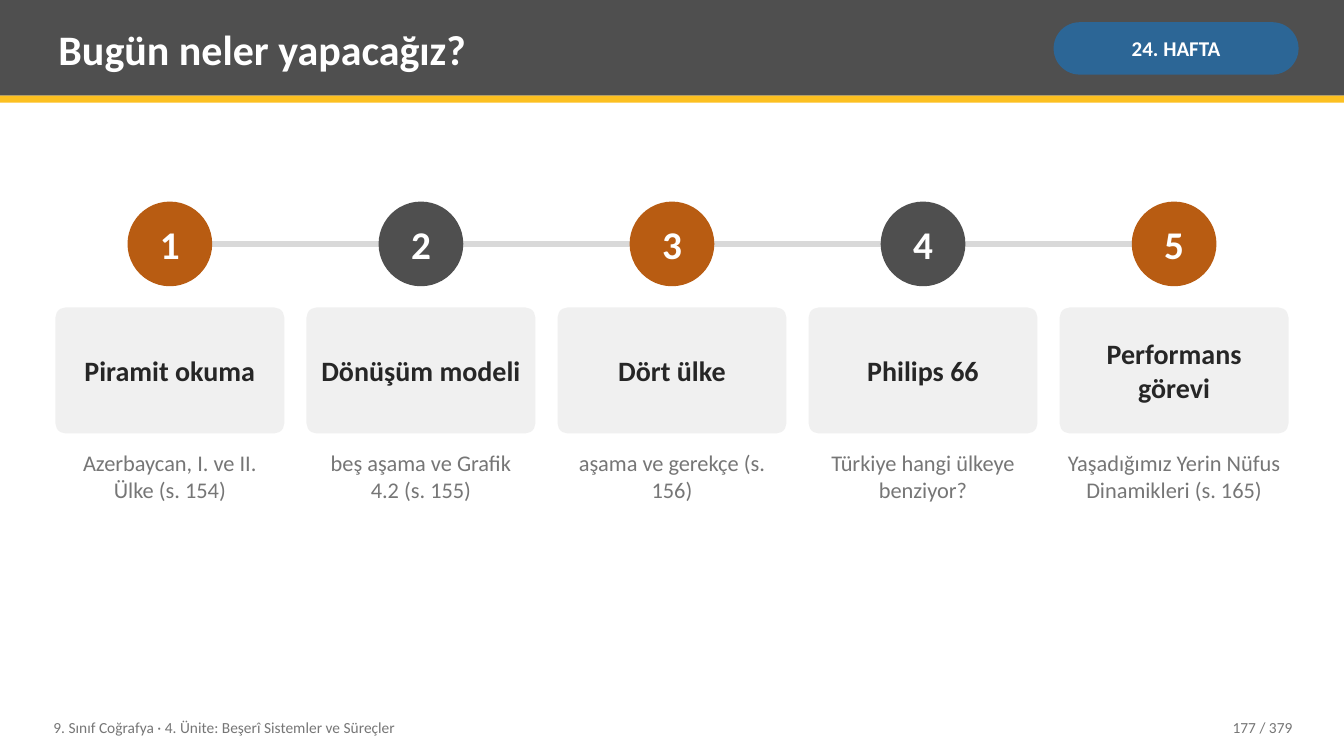
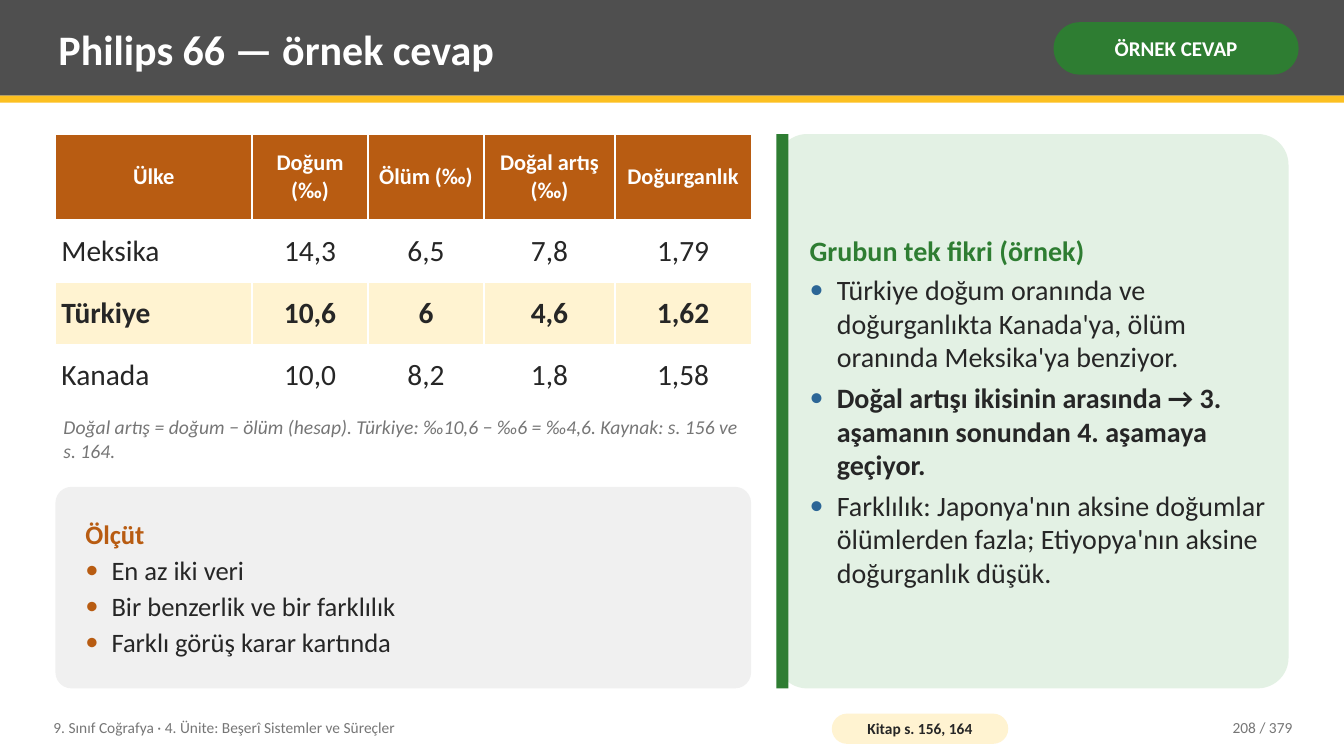
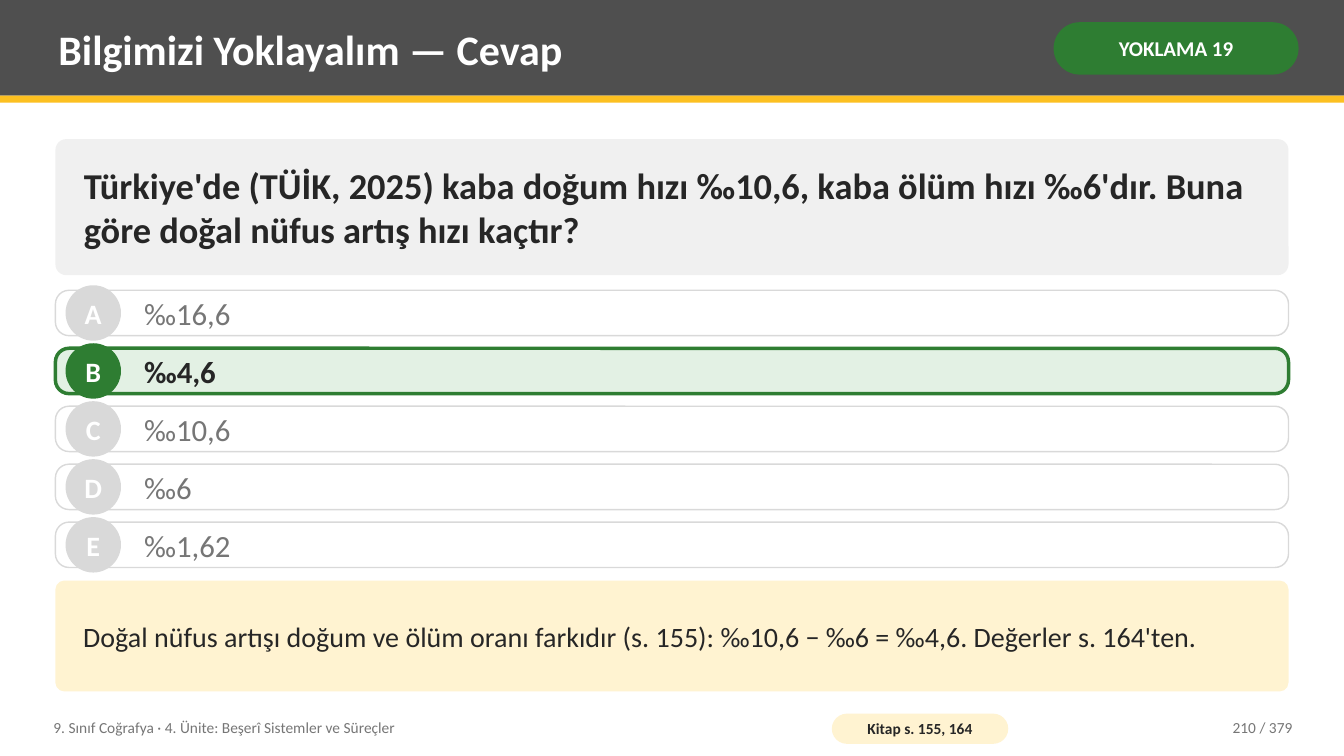
import lxml.etree
import pptx
import pptx.dml.color
import pptx.enum.shapes
import pptx.enum.text
import pptx.oxml.ns
import pptx.util

# The grid has square cells: 266.6 columns by 150 rows, 20 cells to the inch.
COLS, ROWS = 266.6, 150
LEFT = 11
WIDTH = COLS - 2 * LEFT

FONT = "Calibri"
WHITE, INK, MUTED = "FFFFFF", "262626", "767676"
DARK, PALE, RULE = "4F4F4F", "F0F0F0", "D9D9D9"
ORANGE, YELLOW, CREAM = "B85C12", "FCC021", "FFF3D1"
BLUE, GREEN, MINT = "2C6696", "2E7D32", "E3F1E4"

FOOTER = "9. Sınıf Coğrafya · 4. Ünite: Beşerî Sistemler ve Süreçler"
PAGES = 379

SHAPE = pptx.enum.shapes.MSO_SHAPE
ANCHOR = pptx.enum.text.MSO_ANCHOR
ALIGN = {"l": pptx.enum.text.PP_ALIGN.LEFT,
         "c": pptx.enum.text.PP_ALIGN.CENTER,
         "r": pptx.enum.text.PP_ALIGN.RIGHT}
qn = pptx.oxml.ns.qn


def cells(n):
    """Length of n grid cells."""
    return pptx.util.Inches(n / 20)


def rgb(color):
    return pptx.dml.color.RGBColor.from_string(color)


def paint(target, color):
    target.fill.solid()
    target.fill.fore_color.rgb = rgb(color)


def format_text(p, size, color, bold=False, italic=False, align="l"):
    p.alignment = ALIGN[align]
    for r in p.runs:
        r.font.name = FONT
        r.font.size = pptx.util.Pt(size)
        r.font.bold = bold
        r.font.italic = italic
        r.font.color.rgb = rgb(color)


def add_bullet(p, color, hang):
    pPr = p._p.get_or_add_pPr()
    pPr.set("marL", str(cells(hang)))
    pPr.set("indent", str(-cells(hang)))
    clr = lxml.etree.SubElement(pPr, qn("a:buClr"))
    lxml.etree.SubElement(clr, qn("a:srgbClr"), val=color)
    lxml.etree.SubElement(pPr, qn("a:buFont"), typeface=FONT)
    lxml.etree.SubElement(pPr, qn("a:buChar"), char="•")


def add_borders(cell, color, width):
    tcPr = cell._tc.get_or_add_tcPr()
    for side in ("a:lnL", "a:lnR", "a:lnT", "a:lnB"):
        ln = lxml.etree.SubElement(tcPr, qn(side), w=str(pptx.util.Pt(width)))
        fill = lxml.etree.SubElement(ln, qn("a:solidFill"))
        lxml.etree.SubElement(fill, qn("a:srgbClr"), val=color)


class Deck:
    def __init__(self):
        self.prs = pptx.Presentation()
        self.prs.slide_width = cells(COLS)
        self.prs.slide_height = cells(ROWS)
        self.s = None

    def slide(self, title, tag, tag_color, page, source=None):
        """Start a slide with its title band, tag and footer."""
        self.s = self.prs.slides.add_slide(self.prs.slide_layouts[5])
        self.shape(0, 0, COLS, 19, DARK)
        self.shape(0, 19, COLS, 1.4, YELLOW)
        sp = self.s.shapes.title
        sp.element.getparent().append(sp.element)
        sp.left, sp.top, sp.width, sp.height = map(cells, (10, 1.4, 195, 16.4))
        self.label(sp, title, 30, WHITE, bold=True)
        self.pill(209, 4.4, 48.6, 10.4, tag_color, tag, 15, WHITE)
        self.text(9, 140.8, 152, 7.2, FOOTER, 11, MUTED)
        self.text(226, 140.8, 32, 7.2, f"{page} / {PAGES}", 11, MUTED, align="r")
        if source:
            self.pill(165, 141.6, 35, 6, CREAM, source, 11, INK)

    def frame(self, sp, inset=(1.6, 0.8), anchor=ANCHOR.MIDDLE, wrap=True):
        """Prepare the text frame of a shape."""
        tf = sp.text_frame
        tf.auto_size = pptx.enum.text.MSO_AUTO_SIZE.NONE
        tf.word_wrap = wrap
        tf.vertical_anchor = anchor
        tf.margin_left = tf.margin_right = cells(inset[0])
        tf.margin_top = tf.margin_bottom = cells(inset[1])
        return tf

    def label(self, sp, text, size, color, bold=False, italic=False,
              align="l", **frame):
        """Set the one paragraph of a shape."""
        tf = self.frame(sp, **frame)
        tf.text = text
        format_text(tf.paragraphs[0], size, color, bold, italic, align)

    def box(self, x, y, w, h):
        return self.s.shapes.add_textbox(*map(cells, (x, y, w, h)))

    def text(self, x, y, w, h, text, size, color, **style):
        self.label(self.box(x, y, w, h), text, size, color, **style)

    def shape(self, x, y, w, h, fill, kind=SHAPE.RECTANGLE, line=None, weight=1):
        sp = self.s.shapes.add_shape(kind, *map(cells, (x, y, w, h)))
        sp.shadow.inherit = False
        paint(sp, fill)
        if line:
            sp.line.color.rgb = rgb(line)
            sp.line.width = pptx.util.Pt(weight)
        else:
            sp.line.fill.background()
        return sp

    def card(self, x, y, w, h, fill, radius=0.08, **line):
        sp = self.shape(x, y, w, h, fill, SHAPE.ROUNDED_RECTANGLE, **line)
        sp.adjustments[0] = radius
        return sp

    def pill(self, x, y, w, h, fill, text, size, color):
        sp = self.card(x, y, w, h, fill, radius=0.5)
        self.label(sp, text, size, color, bold=True, align="c", inset=(1, 0))

    def badge(self, x, y, d, fill, text, size):
        sp = self.shape(x, y, d, d, fill, SHAPE.OVAL)
        self.label(sp, text, size, WHITE, bold=True, align="c",
                   inset=(0, 0), wrap=False)

    def line(self, x1, y1, x2, y2, color, weight):
        cxn = self.s.shapes.add_connector(
            pptx.enum.shapes.MSO_CONNECTOR.STRAIGHT,
            *map(cells, (x1, y1, x2, y2)))
        cxn.line.color.rgb = rgb(color)
        cxn.line.width = pptx.util.Pt(weight)
        lxml.etree.SubElement(cxn._element.spPr, qn("a:effectLst"))

    def bullets(self, sp, heading, items, size, color, dot, hang, gaps,
                strong=(), **frame):
        """Heading and bullet items; gaps are the points after each of the two."""
        tf = self.frame(sp, **frame)
        p = tf.paragraphs[0]
        p.text = heading
        p.space_after = pptx.util.Pt(gaps[0])
        format_text(p, size, color, bold=True)
        for i, item in enumerate(items):
            p = tf.add_paragraph()
            p.text = item
            add_bullet(p, dot, hang)
            if i < len(items) - 1:
                p.space_after = pptx.util.Pt(gaps[1])
            format_text(p, size, INK, bold=i in strong)

    def table(self, x, y, widths, heights, rows, marked):
        """Table with a header row and one highlighted row."""
        tbl = self.s.shapes.add_table(
            len(rows), len(widths),
            *map(cells, (x, y, sum(widths), sum(heights)))).table
        tbl.horz_banding = False
        for col, w in zip(tbl.columns, widths):
            col.width = cells(w)
        for row, h in zip(tbl.rows, heights):
            row.height = cells(h)
        for i, values in enumerate(rows):
            head = i == 0
            fill = ORANGE if head else CREAM if i == marked else WHITE
            for j, value in enumerate(values):
                cell = tbl.cell(i, j)
                cell.text_frame.text = value
                cell.vertical_anchor = ANCHOR.MIDDLE
                cell.margin_left = cell.margin_right = cells(1.2)
                cell.margin_top = cell.margin_bottom = cells(1)
                add_borders(cell, WHITE, 0.96)
                paint(cell, fill)
                format_text(cell.text_frame.paragraphs[0],
                            16 if head else 21, WHITE if head else INK,
                            bold=head or i == marked,
                            align="c" if head or j else "l")


def agenda(deck):
    deck.slide("Bugün neler yapacağız?", "24. HAFTA", BLUE, 177)
    steps = [("Piramit okuma", "Azerbaycan, I. ve II. Ülke (s. 154)"),
             ("Dönüşüm modeli", "beş aşama ve Grafik 4.2 (s. 155)"),
             ("Dört ülke", "aşama ve gerekçe (s. 156)"),
             ("Philips 66", "Türkiye hangi ülkeye benziyor?"),
             ("Performans görevi", "Yaşadığımız Yerin Nüfus Dinamikleri (s. 165)")]
    gap, d, top = 4.4, 16.8, 40
    w = (WIDTH - gap * (len(steps) - 1)) / len(steps)
    middle = top + d / 2
    deck.line(LEFT + w / 2, middle, LEFT + WIDTH - w / 2, middle, RULE, 4)
    for i, (name, detail) in enumerate(steps):
        x = LEFT + i * (w + gap)
        deck.badge(x + (w - d) / 2, top, d, DARK if i % 2 else ORANGE,
                   str(i + 1), 28)
        deck.label(deck.card(x, 61, w, 25, PALE), name, 20, INK, bold=True,
                   align="c", inset=(1.6, 1.6))
        deck.text(x, 88.4, w, 38, detail, 16, MUTED, align="c",
                  anchor=ANCHOR.TOP)


def sample_answer(deck):
    deck.slide("Philips 66 — örnek cevap", "ÖRNEK CEVAP", GREEN, 208,
               "Kitap s. 156, 164")
    top, height = 26.6, 110
    widths = [39, 23, 23, 26, 27]
    w = sum(widths)
    deck.table(LEFT, top, widths, [17, 12.4, 12.4, 12.4], [
        ["Ülke", "Doğum (‰)", "Ölüm (‰)", "Doğal artış (‰)", "Doğurganlık"],
        ["Meksika", "14,3", "6,5", "7,8", "1,79"],
        ["Türkiye", "10,6", "6", "4,6", "1,62"],
        ["Kanada", "10,0", "8,2", "1,8", "1,58"]], marked=2)
    deck.text(LEFT, 81.6, w, 12.4,
              "Doğal artış = doğum − ölüm (hesap). Türkiye: ‰10,6 − ‰6 = ‰4,6. "
              "Kaynak: s. 156 ve s. 164.",
              14, MUTED, italic=True, anchor=ANCHOR.TOP)
    deck.bullets(deck.card(LEFT, top + height - 40, w, 40, PALE), "Ölçüt",
                 ["En az iki veri", "Bir benzerlik ve bir farklılık",
                  "Farklı görüş karar kartında"],
                 19, ORANGE, ORANGE, 5.2, (3, 3), inset=(5, 1.6))

    x = LEFT + w + 5
    deck.card(x, top, LEFT + WIDTH - x, height, MINT, radius=0.06)
    deck.shape(x, top, 2.4, height, GREEN)
    deck.bullets(
        deck.box(x + 5, top + 1.2, 94.6, height - 2.4),
        "Grubun tek fikri (örnek)",
        ["Türkiye doğum oranında ve doğurganlıkta Kanada'ya, ölüm oranında "
         "Meksika'ya benziyor.",
         "Doğal artışı ikisinin arasında → 3. aşamanın sonundan 4. aşamaya "
         "geçiyor.",
         "Farklılık: Japonya'nın aksine doğumlar ölümlerden fazla; "
         "Etiyopya'nın aksine doğurganlık düşük."],
        20, GREEN, BLUE, 5.4, (4, 5), strong=(1,))


def quiz_answer(deck):
    deck.slide("Bilgimizi Yoklayalım — Cevap", "YOKLAMA 19", GREEN, 210,
               "Kitap s. 155, 164")
    deck.label(deck.card(LEFT, 27.6, WIDTH, 27, PALE),
               "Türkiye'de (TÜİK, 2025) kaba doğum hızı ‰10,6, kaba ölüm hızı "
               "‰6'dır. Buna göre doğal nüfus artış hızı kaçtır?",
               26, INK, bold=True, inset=(5, 1.6))
    options = ["‰16,6", "‰4,6", "‰10,6", "‰6", "‰1,62"]
    for i, (letter, option) in enumerate(zip("ABCDE", options)):
        y = 57.6 + 11.5 * i
        right = letter == "B"
        accent = GREEN if right else RULE
        deck.card(LEFT, y, WIDTH, 9, MINT if right else WHITE, radius=0.3,
                  line=accent, weight=2.5 if right else 1)
        deck.badge(LEFT + 2, y - 1, 11, accent, letter, 20)
        deck.text(LEFT + 16, y, WIDTH - 20, 9, option, 22,
                  INK if right else MUTED, bold=right)
    deck.label(deck.card(LEFT, 115.2, WIDTH, 22, CREAM),
               "Doğal nüfus artışı doğum ve ölüm oranı farkıdır (s. 155): "
               "‰10,6 − ‰6 = ‰4,6. Değerler s. 164'ten.",
               20, INK, inset=(5, 1.6))


def main():
    deck = Deck()
    agenda(deck)
    sample_answer(deck)
    quiz_answer(deck)
    deck.prs.save("out.pptx")


if __name__ == "__main__":
    main()
